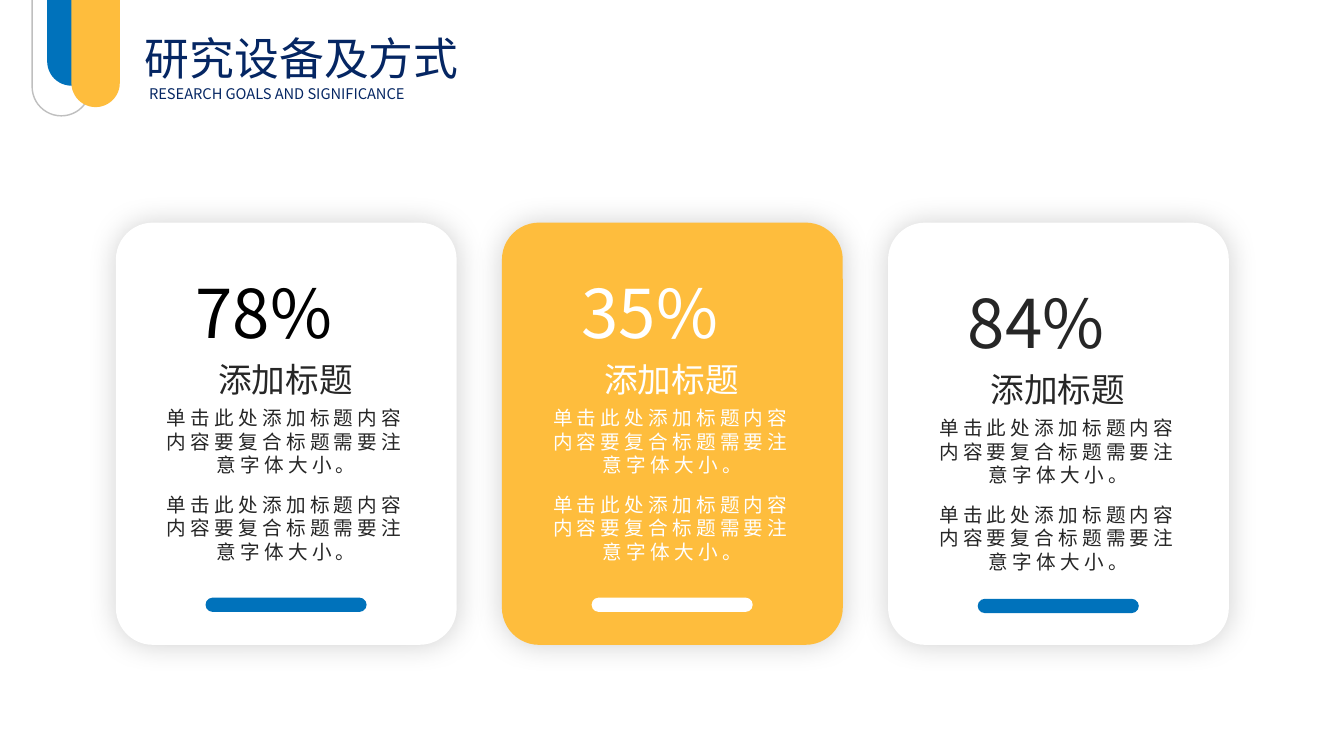
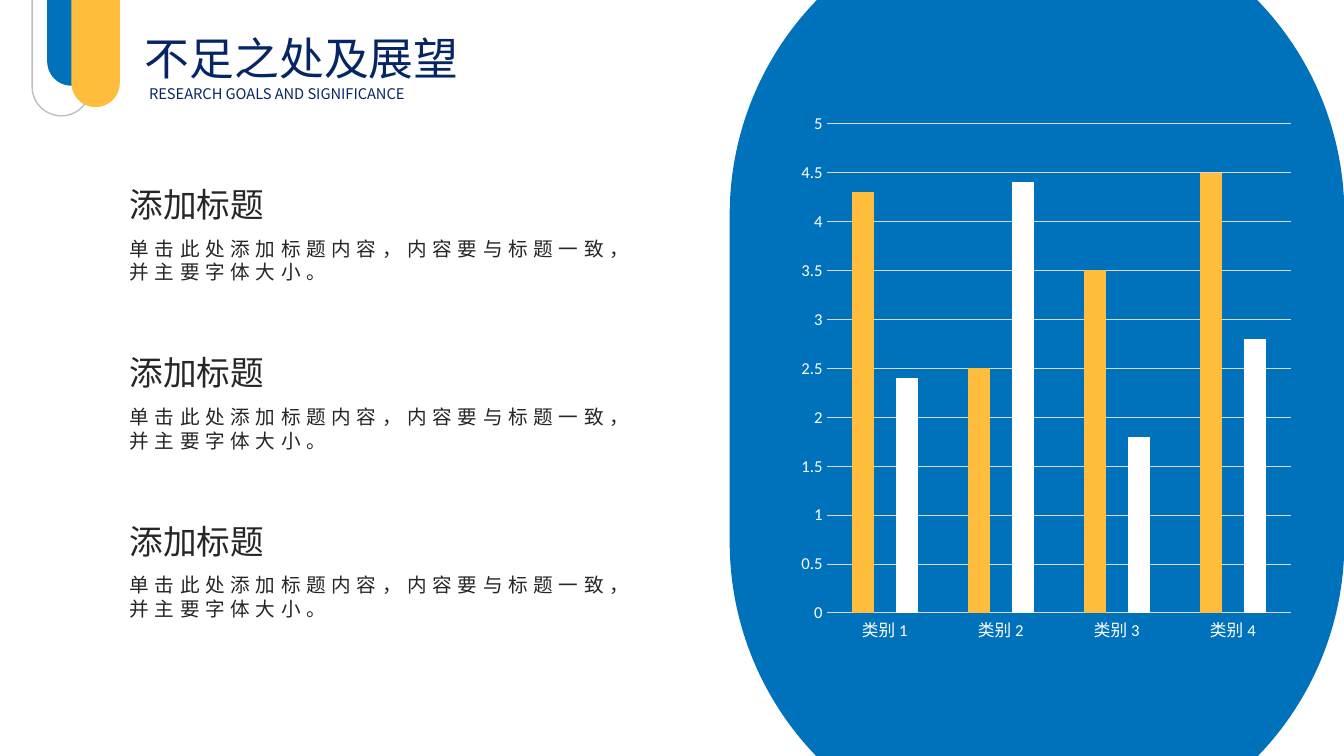
from lxml import etree
from pptx import Presentation
from pptx.chart.data import CategoryChartData
from pptx.dml.color import RGBColor
from pptx.enum import chart as charts, shapes, text
from pptx.oxml import ns
from pptx.util import Cm, Pt

# Shared style
BLUE, GOLD, WHITE, INK, NAVY = "0072BB", "FEBD3D", "FFFFFF", "262626", "052663"
FONT = "Noto Sans CJK SC"
LEFT, CENTER, JUSTIFY = (text.PP_ALIGN.LEFT, text.PP_ALIGN.CENTER,
                         text.PP_ALIGN.JUSTIFY)

# Header: left, top, width, height, fill, line
TABS = [
    (0.81, -1.14, 1.47, 4.06, None, "BFBFBF"),
    (1.19, -1.4, 1.22, 3.56, BLUE, None),
    (1.8, -0.86, 1.22, 3.56, GOLD, None),
]
SUBTITLE = "RESEARCH GOALS AND SIGNIFICANCE"

# Cards: number, number colour, text colour, card fill, bar fill, text and bar drop
HEADING = "添加标题"
CARD_BODY = "单击此处添加标题内容内容要复合标题需要注意字体大小。"
CARDS = [
    ("78%", "000000", INK, WHITE, BLUE, 0, 0),
    ("35%", WHITE, WHITE, GOLD, WHITE, 0, 0),
    ("84%", INK, INK, WHITE, BLUE, 0.25, 0.03),
]
CARD_LEFT, CARD_TOP, CARD_STEP = 2.92, 5.61, 9.73

# Outlook points and chart
POINTS = [(HEADING, "单击此处添加标题内容，内容要与标题一致，并主要字体大小。")] * 3
CATEGORIES = ["类别 1", "类别 2", "类别 3", "类别 4"]
SERIES = [
    ("Series 1", (4.3, 2.5, 3.5, 4.5), GOLD),
    ("Series 2", (2.4, 4.4, 1.8, 2.8), WHITE),
]


def rgb(color):
    return RGBColor.from_string(color)


def place(sp, left, top, width, height):
    sp.left, sp.top, sp.width, sp.height = map(Cm, (left, top, width, height))


def write(sp, words, size, color, align=LEFT, spacing=0, side=0.25):
    """Fill a text frame with one run on a line pitch of 1.2 times the size."""
    tf = sp.text_frame
    tf.word_wrap = True
    tf.auto_size = text.MSO_AUTO_SIZE.NONE
    tf.vertical_anchor = text.MSO_ANCHOR.TOP
    tf.margin_left = tf.margin_right = Cm(side)
    tf.margin_top, tf.margin_bottom = Cm(0.13) + Pt(size * 0.1), 0
    p = tf.paragraphs[0]
    p.alignment = align
    p.line_spacing = Pt(size * 1.2)
    p.space_before = Pt(0)
    r = p.add_run()
    r.text = words
    r.font.size = Pt(size)
    r.font.color.rgb = rgb(color)
    r.font.name = FONT
    props = r.font._element
    etree.SubElement(props, ns.qn("a:ea"), typeface=FONT)
    if spacing:
        props.set("spc", str(spacing * 100))


def add_text(slide, box, words, size, color, **style):
    write(slide.shapes.add_textbox(*map(Cm, box)), words, size, color, **style)


def add_pill(slide, box, fill=None, line=None, radius=0.5):
    sp = slide.shapes.add_shape(shapes.MSO_SHAPE.ROUNDED_RECTANGLE, *map(Cm, box))
    sp.adjustments[0] = radius
    sp.shadow.inherit = False
    if fill:
        sp.fill.solid()
        sp.fill.fore_color.rgb = rgb(fill)
    else:
        sp.fill.background()
    if line:
        sp.line.color.rgb = rgb(line)
        sp.line.width = Pt(1)
    else:
        sp.line.fill.background()
    return sp


def add_glow(sp):
    """Soft, centred shadow around a card."""
    effects = sp._element.spPr.find(ns.qn("a:effectLst"))
    shadow = etree.SubElement(effects, ns.qn("a:outerShdw"), blurRad=str(Pt(21)),
                              dist="0", dir="0", algn="ctr", rotWithShape="0")
    color = etree.SubElement(shadow, ns.qn("a:srgbClr"), val="000000")
    etree.SubElement(color, ns.qn("a:alpha"), val="18000")


def add_header(slide, title):
    for *box, fill, line in TABS:
        add_pill(slide, box, fill, line)
    place(slide.shapes.title, 3.4, 0.53, 9.4, 1.63)
    write(slide.shapes.title, title, 32, NAVY, align=JUSTIFY)
    add_text(slide, (3.51, 1.96, 10.26, 0.74), SUBTITLE, 10.5, NAVY, align=JUSTIFY)


def add_card(slide, left, card):
    number, number_color, color, fill, bar, drop, bar_drop = card
    add_glow(add_pill(slide, (left, CARD_TOP, 8.59, 10.64), fill, radius=0.109))
    add_pill(slide, (left + 2.26, 15.06 + bar_drop, 4.06, 0.36), bar)
    add_text(slide, (left + 1.76, 6.53 + drop, 5.03, 2.31), number, 48,
             number_color, align=JUSTIFY)
    add_text(slide, (left + 1.76, 8.84 + drop, 5.03, 1.27), HEADING, 24, color,
             align=CENTER)
    for top in (10.06, 12.24):
        add_text(slide, (left + 0.74, top + drop, 7.11, 2.06), CARD_BODY, 14, color,
                 align=CENTER, spacing=3, side=0.3)


def add_columns(slide, box):
    data = CategoryChartData()
    data.categories = CATEGORIES
    for name, values, _ in SERIES:
        data.add_series(name, values)
    chart = slide.shapes.add_chart(charts.XL_CHART_TYPE.COLUMN_CLUSTERED,
                                   *map(Cm, box), data).chart
    chart.has_title = chart.has_legend = False
    chart.font.name, chart.font.size = "Calibri", Pt(10)
    plot = chart.plots[0]
    plot.gap_width, plot.overlap, plot.vary_by_categories = 224, -100, False
    for series, (_, _, color) in zip(plot.series, SERIES):
        series.format.fill.solid()
        series.format.fill.fore_color.rgb = rgb(color)
        series.invert_if_negative = False
    # Axes
    cat, val = chart.category_axis, chart.value_axis
    for axis in (cat, val):
        axis.major_tick_mark = axis.minor_tick_mark = charts.XL_TICK_MARK.NONE
        font = axis.tick_labels.font
        font.name, font.size, font.color.rgb = "Calibri", Pt(11.9), rgb(WHITE)
    val.minimum_scale, val.maximum_scale, val.major_unit = 0, 5, 0.5
    val.has_major_gridlines = True
    val.format.line.fill.background()
    for line in (cat.format.line, val.major_gridlines.format.line):
        line.color.rgb, line.width = rgb("D9D9D9"), Pt(0.75)


def main():
    prs = Presentation()
    prs.slide_width, prs.slide_height = Cm(33.87), Cm(19.05)
    layout = prs.slide_layouts[5]

    # Equipment and methods
    slide = prs.slides.add_slide(layout)
    add_header(slide, "研究设备及方式")
    for i, card in enumerate(CARDS):
        add_card(slide, CARD_LEFT + i * CARD_STEP, card)

    # Shortcomings and outlook
    slide = prs.slides.add_slide(layout)
    add_pill(slide, (18.39, -2.34, 15.49, 23.75), BLUE)
    add_header(slide, "不足之处及展望")
    add_columns(slide, (19.94, 2.59, 12.85, 13.87))
    for i, (heading, body) in enumerate(POINTS):
        top = 4.42 + i * 4.24
        add_text(slide, (3.02, top, 4.55, 1.27), heading, 24, INK)
        add_text(slide, (3.02, top + 1.37, 12.93, 1.45), body, 14, INK, spacing=4)

    prs.save("out.pptx")


if __name__ == "__main__":
    main()
